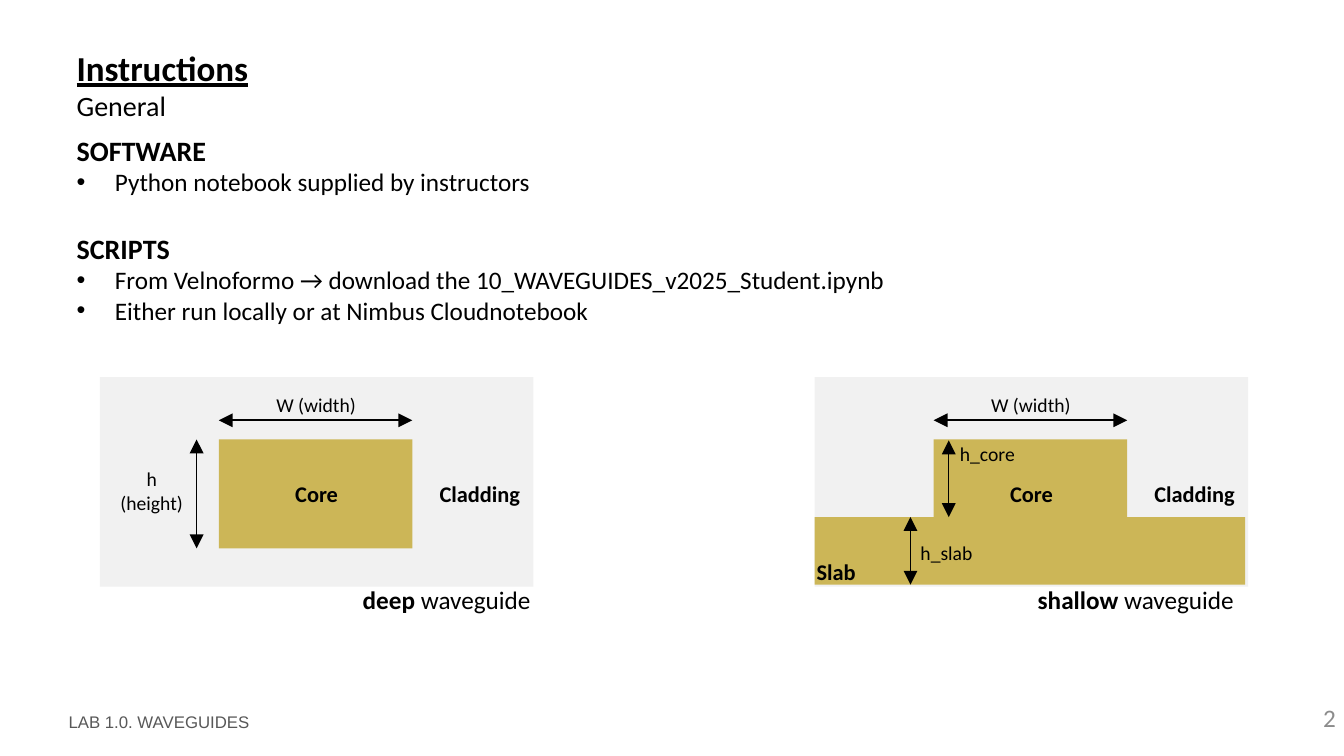
import pptx
import pptx.dml.color
import pptx.enum.shapes
import pptx.enum.text
import pptx.oxml
import pptx.util
from pptx.util import Inches

ALIGN = pptx.enum.text.PP_ALIGN
ANCHOR = pptx.enum.text.MSO_ANCHOR
BLACK, GOLD, PALE = "000000", "CCB657", "F1F1F1"

deck = pptx.Presentation()
deck.slide_width, deck.slide_height = Inches(13.33), Inches(7.5)
slide = deck.slides.add_slide(deck.slide_layouts[1])


def add_span(para, text, size, bold=False, color=BLACK, font="Calibri"):
    span = para.add_run()
    span.text = text
    span.font.name, span.font.size, span.font.bold = font, pptx.util.Pt(size), bold
    span.font.color.rgb = pptx.dml.color.RGBColor.from_string(color)
    return span


def prepare_frame(box, left, top, width, height, anchor=ANCHOR.MIDDLE, align=ALIGN.LEFT, inset=0):
    """Place the box, set its margins and anchor, and return its first paragraph."""
    box.left, box.top, box.width, box.height = map(Inches, (left, top, width, height))
    frame = box.text_frame
    frame.word_wrap = True
    frame.auto_size = pptx.enum.text.MSO_AUTO_SIZE.NONE
    frame.vertical_anchor = anchor
    frame.margin_left = frame.margin_right = Inches(inset)
    frame.margin_top = frame.margin_bottom = Inches(inset / 2)
    frame.paragraphs[0].alignment = align
    return frame.paragraphs[0]


# Title and subtitle
para = prepare_frame(slide.shapes.title, 0.76, 0.46, 6.73, 0.77, ANCHOR.TOP)
add_span(para, "Instructions", 25, True).font.underline = True
para.add_line_break()
add_span(para, "General", 20).font.underline = False

# Instructions: headings and bullets
body = slide.placeholders[1]
prepare_frame(body, 0.66, 1.27, 12.08, 2.2, ANCHOR.TOP, inset=0.1)
instructions = [
    ("SOFTWARE", ["Python notebook supplied by instructors"]),
    ("SCRIPTS", ["From Velnoformo → download the 10_WAVEGUIDES_v2025_Student.ipynb",
                 "Either run locally or at Nimbus Cloudnotebook"]),
]
for section, (heading, items) in enumerate(instructions):
    for position, text in enumerate([heading] + items):
        is_heading = position == 0
        first = section == 0 and is_heading
        para = body.text_frame.paragraphs[0] if first else body.text_frame.add_paragraph()
        para.space_before = pptx.util.Pt(24.4 if is_heading and not first else 0)
        add_span(para, text, 20 if is_heading else 18, is_heading)
        properties = para._p.get_or_add_pPr()
        indent = 0 if is_heading else Inches(0.38)
        properties.set("marL", str(indent))
        properties.set("indent", str(-indent))
        bullet = "<a:buNone %s/>" if is_heading else '<a:buChar %s char="•"/>'
        properties.append(pptx.oxml.parse_xml(bullet % pptx.oxml.ns.nsdecls("a")))

# Waveguide cross-sections: rectangles, labels and dimension arrows
DEEP, SHALLOW = 0.99, 8.08
rectangles, labels, arrows = [], [], []
for left in (DEEP, SHALLOW):
    core_left = left + 1.18
    rectangles += [(left, 3.74, 4.3, 2.08, PALE, "", ALIGN.CENTER, ANCHOR.MIDDLE),
                   (core_left, 4.36, 1.92, 1.08, GOLD, "Core", ALIGN.CENTER, ANCHOR.MIDDLE)]
    labels += [(left + 1.75, 3.87, 0.95, 0.28, "W (width)", 14, False, ALIGN.LEFT),
               (left + 3.37, 4.74, 0.9, 0.32, "Cladding", 16, True, ALIGN.LEFT)]
    arrows.append((core_left, 4.17, core_left + 1.92, 4.17, 1.25))
rectangles.append((SHALLOW, 5.13, 4.27, 0.67, GOLD, "Slab", ALIGN.LEFT, ANCHOR.BOTTOM))
labels += [
    (1.14, 4.62, 0.73, 0.5, "h\n(height)", 14, False, ALIGN.CENTER),
    (9.13, 5.34, 0.74, 0.28, "h_slab", 14, False, ALIGN.LEFT),
    (9.52, 4.36, 1.51, 0.28, "h_core", 14, False, ALIGN.LEFT),
]
arrows += [
    (1.95, 4.36, 1.95, 5.44, 1.25),
    (9.41, 4.37, 9.41, 5.13, 0.9),
    (9.03, 5.13, 9.03, 5.8, 0.9),
]

for left, top, width, height, color, text, align, anchor in rectangles:
    box = slide.shapes.add_shape(pptx.enum.shapes.MSO_SHAPE.RECTANGLE, 0, 0, 0, 0)
    para = prepare_frame(box, left, top, width, height, anchor, align)
    box.shadow.inherit = False
    box.fill.solid()
    box.fill.fore_color.rgb = pptx.dml.color.RGBColor.from_string(color)
    box.line.fill.background()
    if text:
        box.text_frame.margin_left = Inches(0.02)
        add_span(para, text, 16, True)

for left, top, width, height, text, size, bold, align in labels:
    box = slide.shapes.add_textbox(0, 0, 0, 0)
    para = prepare_frame(box, left, top, width, height, align=align)
    for number, line in enumerate(text.split("\n")):
        if number:
            para = box.text_frame.add_paragraph()
            para.alignment = align
        add_span(para, line, size, bold)

for start_x, start_y, end_x, end_y, weight in arrows:
    arrow = slide.shapes.add_connector(pptx.enum.shapes.MSO_CONNECTOR.STRAIGHT,
                                       *map(Inches, (start_x, start_y, end_x, end_y)))
    arrow.line.width = pptx.util.Pt(weight)
    arrow.line.color.rgb = pptx.dml.color.RGBColor.from_string(BLACK)
    for end in ("headEnd", "tailEnd"):
        arrow.line._get_or_add_ln().append(pptx.oxml.parse_xml(
            f'<a:{end} {pptx.oxml.ns.nsdecls("a")} type="triangle" w="lg" len="lg"/>'))
    arrow._element.spPr.append(pptx.oxml.parse_xml(
        f'<a:effectLst {pptx.oxml.ns.nsdecls("a")}/>'))

# Captions
for left, width, kind in ((10.18, 2.17, "shallow"), (3.25, 2.36, "deep")):
    box = slide.shapes.add_textbox(0, 0, 0, 0)
    para = prepare_frame(box, left, 5.75, width, 0.4, align=ALIGN.CENTER, inset=0.1)
    add_span(para, kind, 18, True)
    add_span(para, " waveguide", 18)

# Footer and slide number
footer = slide.shapes.add_textbox(0, 0, 0, 0)
para = prepare_frame(footer, 0.68, 7.06, 3, 0.2)
add_span(para, "LAB 1.0. WAVEGUIDES", 12, color="585858", font="Arial")
page_number = slide.shapes.add_textbox(0, 0, 0, 0)
para = prepare_frame(page_number, 10.18, 6.97, 3.07, 0.38, ANCHOR.TOP, ALIGN.RIGHT)
add_span(para, "2", 18, color="8C8C8C")

deck.save("out.pptx")
